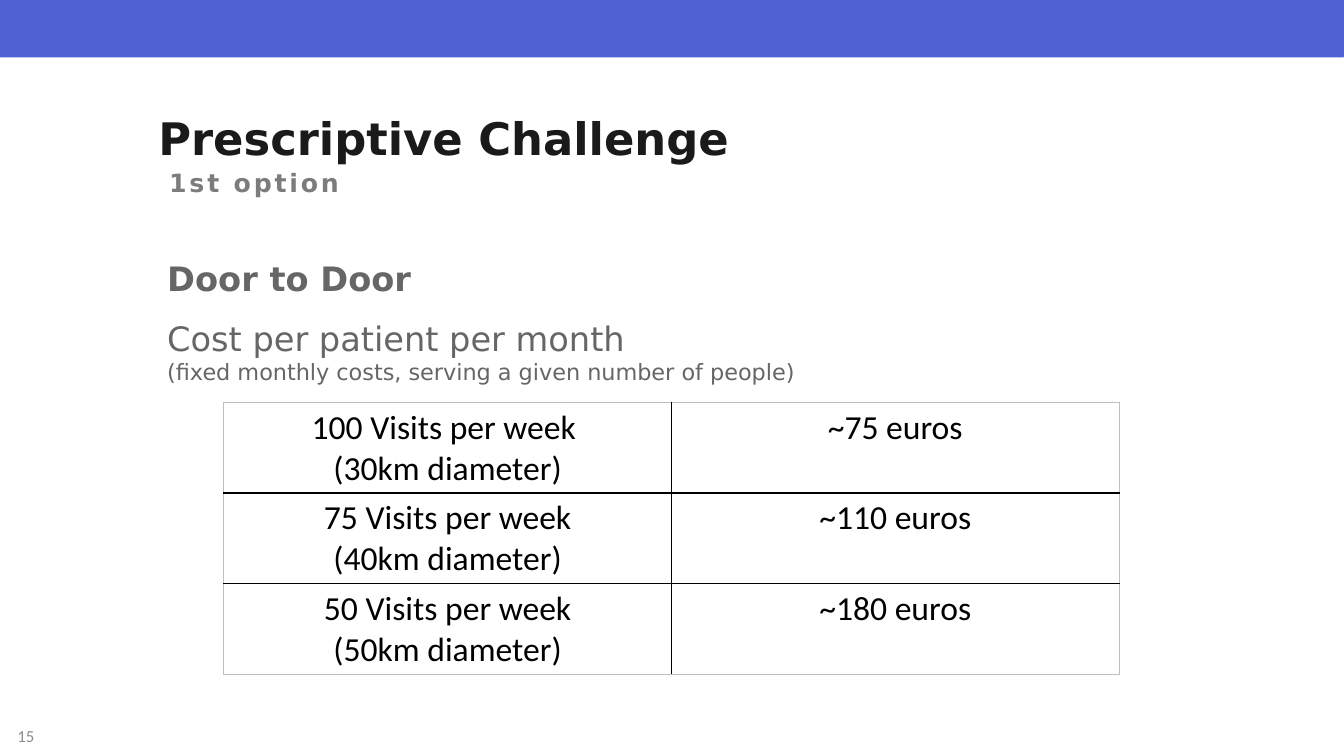
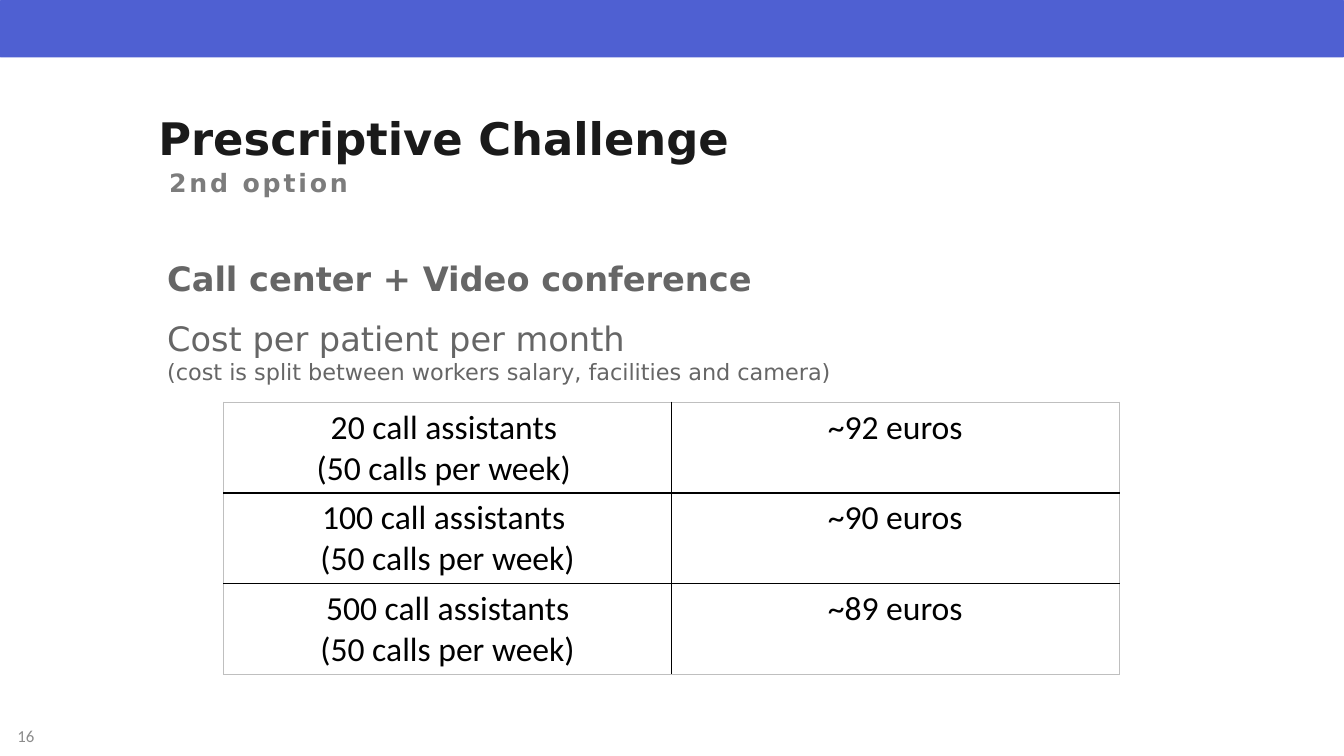
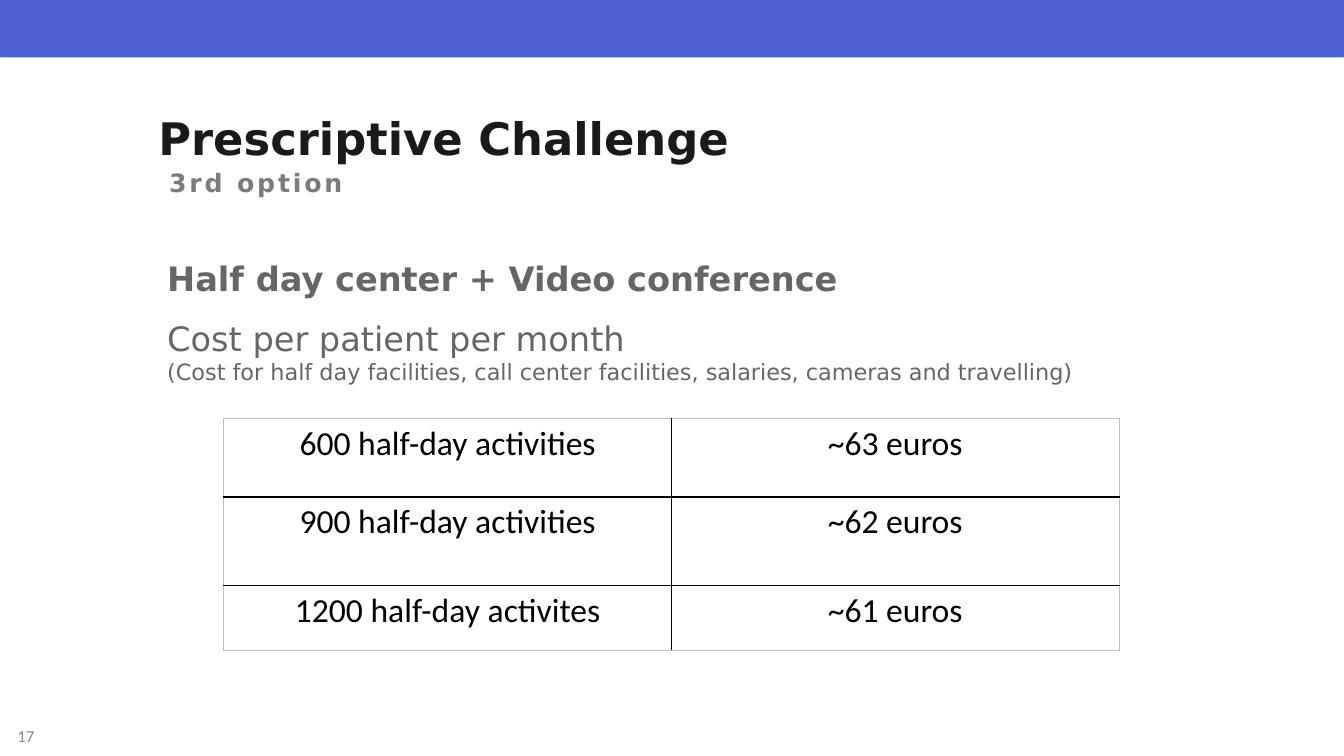
from dataclasses import dataclass
from typing import Optional

from lxml import etree
from pptx import Presentation
from pptx import util as u
from pptx.dml.color import RGBColor
from pptx.enum import shapes, text
from pptx.oxml import ns


@dataclass(frozen=True)
class Theme:
    band: str = "4F60D2"
    title: str = "1A1A1A"
    subtitle: str = "7C7C7C"
    body: str = "666666"
    number: str = "8C8C8C"
    cell: str = "000000"
    frame: str = "BFBFBF"
    heading_font: str = "DejaVu Sans"
    cell_font: str = "Calibri"
    title_pt: int = 32
    body_pt: int = 24
    subtitle_pt: int = 18
    note_pt: int = 16
    number_pt: int = 12


@dataclass(frozen=True)
class Option:
    subtitle: str
    heading: str
    note: str
    rows: tuple[tuple[str, str], ...]
    table_top: float = 3.99
    row_heights: tuple[float, ...] = (0.9, 0.9, 0.9)


T = Theme()
SLIDE_W, SLIDE_H = 13.33, 7.5
FIRST_NUMBER = 15
TABLE_LEFT, COLUMN_W = 2.22, 4.44

OPTIONS = (
    Option("1st option", "Door to Door",
           "(fixed monthly costs, serving a given number of people)",
           (("100 Visits per week \n(30km diameter)", "~75 euros"),
            ("75 Visits per week\n(40km diameter)", "~110 euros"),
            ("50 Visits per week\n(50km diameter)", "~180 euros"))),
    Option("2nd option", "Call center + Video conference",
           "(cost is split between workers salary, facilities and camera)",
           (("20 call assistants \n(50 calls per week) ", "~92 euros"),
            ("100 call assistants \n(50 calls per week)", "~90 euros"),
            ("500 call assistants\n(50 calls per week)", "~89 euros"))),
    Option("3rd option", "Half day center + Video conference",
           "(Cost for half day facilities, call center facilities, "
           "salaries, cameras and travelling)",
           (("600 half-day activities", "~63 euros"),
            ("900 half-day activities", "~62 euros"),
            ("1200 half-day activites", "~61 euros")),
           4.15, (0.78, 0.88, 0.64)),
)


def style(font, color: str, size: int, name: str = T.heading_font,
          bold: bool = False) -> None:
    formats = {"name": name, "size": u.Pt(size), "bold": bold}
    for key, value in formats.items():
        setattr(font, key, value)
    font.color.rgb = RGBColor.from_string(color)


def place(sp, left: float, top: float, width: float, height: float) -> None:
    box = {"left": left, "top": top, "width": width, "height": height}
    for key, value in box.items():
        setattr(sp, key, u.Inches(value))


def add_text(s, left: float, top: float, width: float, height: float):
    sp = s.shapes.add_textbox(*map(u.Inches, (left, top, width, height)))
    sp.text_frame.word_wrap = True
    return sp.text_frame


def add_band(s) -> None:
    sp = s.shapes.add_shape(shapes.MSO_SHAPE.ROUNDED_RECTANGLE, 0, 0,
                            u.Inches(SLIDE_W), u.Inches(0.57))
    sp.adjustments[0] = 0.02
    sp.shadow.inherit = False
    sp.fill.solid()
    sp.fill.fore_color.rgb = RGBColor.from_string(T.band)
    sp.line.fill.background()


def add_title(s) -> None:
    sp = s.shapes.title
    place(sp, 1.47, 1.05, 6.96, 0.64)
    tf = sp.text_frame
    tf.text = "Prescriptive Challenge"
    formats = {"vertical_anchor": text.MSO_ANCHOR.TOP, "word_wrap": True,
               "auto_size": text.MSO_AUTO_SIZE.SHAPE_TO_FIT_TEXT}
    for key, value in formats.items():
        setattr(tf, key, value)
    p = tf.paragraphs[0]
    p.alignment = text.PP_ALIGN.LEFT
    style(p.runs[0].font, T.title, T.title_pt, bold=True)


def add_subtitle(s, words: str) -> None:
    p = add_text(s, 1.58, 1.64, 9.04, 0.41).paragraphs[0]
    p.line_spacing = 0.9
    r = p.add_run()
    r.text = words
    style(r.font, T.subtitle, T.subtitle_pt, bold=True)
    r.font._element.set("spc", "200")


def add_body(s, option: Option) -> None:
    tf = add_text(s, 1.56, 2.51, 11.09, 1.78)
    lines = ((option.heading, T.body_pt, True, 0),
             ("Cost per patient per month", T.body_pt, False, 14),
             (option.note, T.note_pt, False, 0))
    for i, (words, size, bold, gap) in enumerate(lines):
        p = tf.add_paragraph() if i else tf.paragraphs[0]
        if gap:
            p.space_before = u.Pt(gap)
        r = p.add_run()
        r.text = words
        style(r.font, T.body, size, bold=bold)


def add_number(s, number: int) -> None:
    tf = add_text(s, 0, 7.1, 0.44, 0.4)
    tf.vertical_anchor = text.MSO_ANCHOR.MIDDLE
    p = tf.paragraphs[0]
    p.alignment = text.PP_ALIGN.RIGHT
    r = p.add_run()
    r.text = str(number)
    style(r.font, T.number, T.number_pt, T.cell_font)
    # Turn the run into a slide number field
    field = etree.SubElement(p._p, ns.qn("a:fld"), type="slidenum",
                             id="{B6F15528-21DE-4FAA-801E-634DDDAF4B2B}")
    field.extend(list(r._r))
    p._p.remove(r._r)


def add_border(cell, side: str, color: str) -> None:
    ln = etree.SubElement(cell._tc.get_or_add_tcPr(), ns.qn(f"a:ln{side}"),
                          w=str(u.Pt(1)))
    fill = etree.SubElement(ln, ns.qn("a:solidFill"))
    etree.SubElement(fill, ns.qn("a:srgbClr"), val=color)


def add_cost_table(s, option: Option) -> None:
    n_rows, n_cols = len(option.rows), len(option.rows[0])
    frame = s.shapes.add_table(
        n_rows, n_cols, u.Inches(TABLE_LEFT), u.Inches(option.table_top),
        u.Inches(n_cols * COLUMN_W), u.Inches(sum(option.row_heights)))
    table = frame.table
    table.first_row = table.horz_banding = False
    for column in table.columns:
        column.width = u.Inches(COLUMN_W)
    for i, (row, height) in enumerate(zip(option.rows, option.row_heights)):
        table.rows[i].height = u.Inches(height)
        for j, words in enumerate(row):
            cell = table.cell(i, j)
            outer = {"L": j == 0, "R": j == n_cols - 1,
                     "T": i == 0, "B": i == n_rows - 1}
            for side, on_edge in outer.items():
                add_border(cell, side, T.frame if on_edge else T.cell)
            cell.fill.background()
            cell.text = words
            for p in cell.text_frame.paragraphs:
                p.alignment = text.PP_ALIGN.CENTER
                style(p.runs[0].font, T.cell, T.body_pt, T.cell_font)


def add_option_slide(prs, option: Option, number: int) -> None:
    s = prs.slides.add_slide(prs.slide_layouts.get_by_name("Title Only"))
    add_band(s)
    add_subtitle(s, option.subtitle)
    add_title(s)
    add_body(s, option)
    add_number(s, number)
    add_cost_table(s, option)


def main(first: Optional[int] = FIRST_NUMBER) -> None:
    prs = Presentation()
    prs.slide_width, prs.slide_height = u.Inches(SLIDE_W), u.Inches(SLIDE_H)
    prs.element.set("firstSlideNum", str(first))
    for number, option in enumerate(OPTIONS, first):
        add_option_slide(prs, option, number)
    prs.save("out.pptx")


if __name__ == "__main__":
    main()
